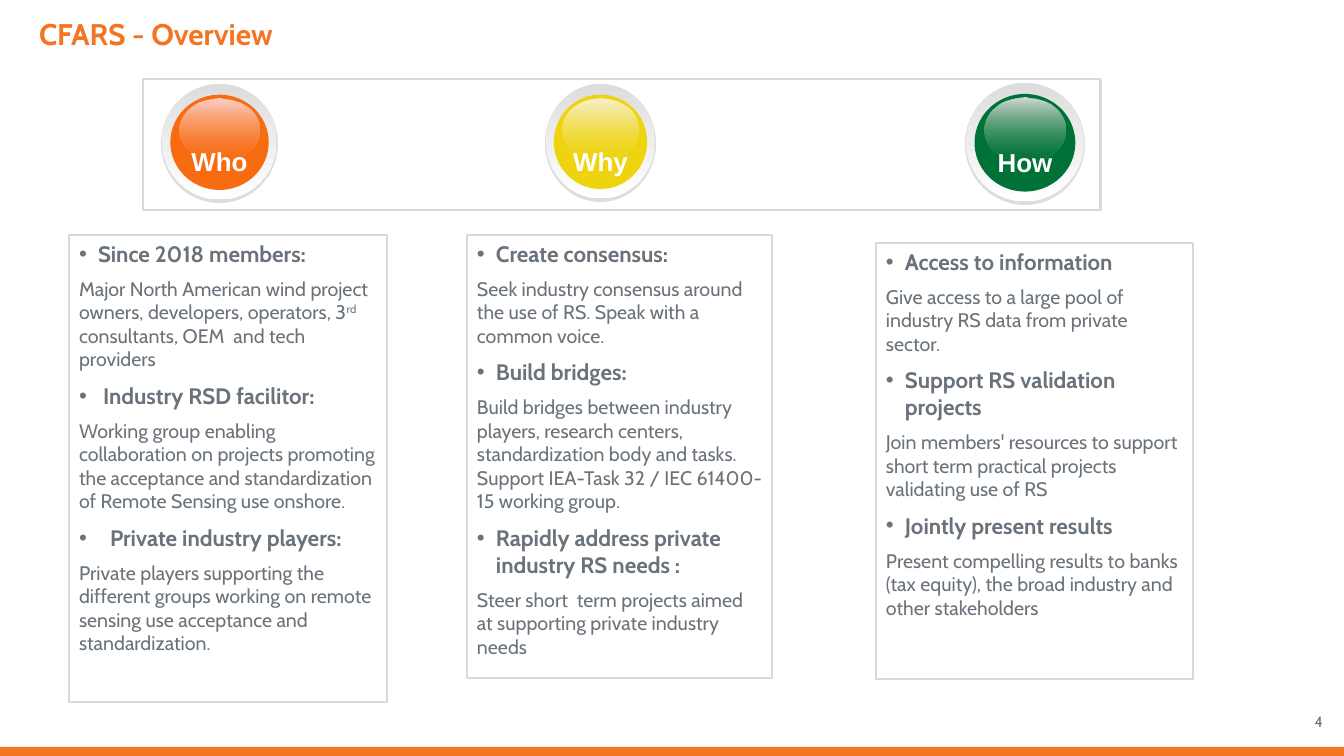
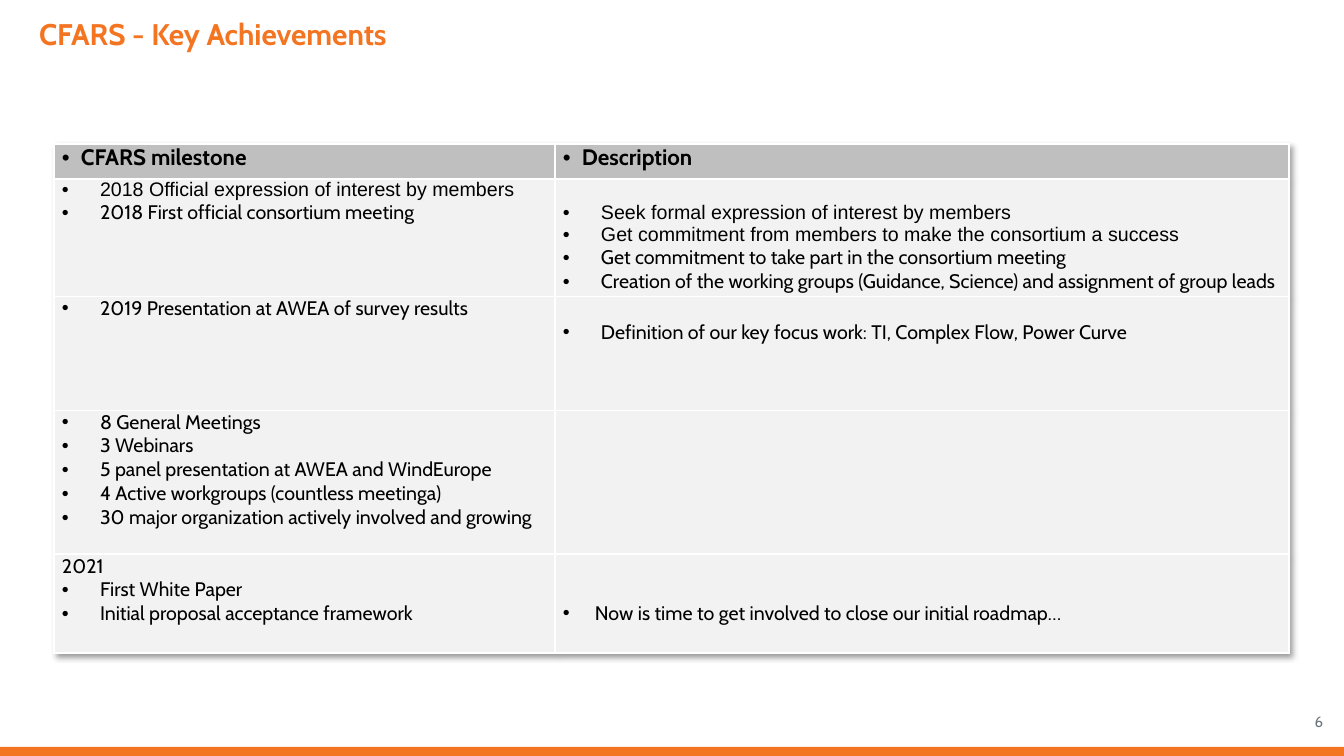
from dataclasses import dataclass

from lxml import etree
from pptx import Presentation
from pptx.dml.color import RGBColor
from pptx.enum.shapes import MSO_SHAPE
from pptx.enum.text import MSO_ANCHOR, MSO_AUTO_SIZE, PP_ALIGN
from pptx.oxml.ns import qn
from pptx.util import Emu, Pt

RECT, OVAL = MSO_SHAPE.RECTANGLE, MSO_SHAPE.OVAL
TOP, MIDDLE = MSO_ANCHOR.TOP, MSO_ANCHOR.MIDDLE
LEFT, RIGHT, CENTER = PP_ALIGN.LEFT, PP_ALIGN.RIGHT, PP_ALIGN.CENTER
FIXED = MSO_AUTO_SIZE.NONE
SCALE = 914400 / 100.8
WIDE, HIGH = 1344, 756


@dataclass(frozen=True)
class Theme:
    font: str = "Cabin"
    plain: str = "Arial"
    brand: str = "F37421"
    grey: str = "6A737B"
    black: str = "000000"
    white: str = "FFFFFF"
    edge: str = "D9D9D9"
    rim: str = "DDDDDD"
    header: str = "BFBFBF"
    body: str = "F2F2F2"
    title_size: float = 21.3
    label_size: float = 18.5
    head_size: float = 16
    text_size: float = 14
    page_size: float = 10.7


THEME = Theme()


# Helpers
def px(count):
    return Emu(round(count * SCALE))


def rgb(code):
    return RGBColor.from_string(code)


def sub(parent, tag, **attrs):
    return etree.SubElement(parent, qn("a:" + tag), {k: str(v) for k, v in attrs.items()})


def write(para, text, size=THEME.text_size, color=THEME.grey, font=THEME.font,
          bold=False, align=LEFT, indent=0, space=0):
    """Fill a paragraph; text between carets is raised, an indent adds a bullet."""
    if indent:
        props = para._p.get_or_add_pPr()
        props.set("marL", str(px(indent)))
        props.set("indent", str(-px(indent)))
        sub(props, "buFont", typeface=THEME.plain)
        sub(props, "buChar", char="•")
    para.alignment = align
    if space:
        para.space_before = Pt(size * space)
    for order, part in enumerate(text.split("^")):
        run = para.add_run()
        run.text = part
        run.font.size, run.font.bold, run.font.name = Pt(size), bold, font
        run.font.color.rgb = rgb(color)
        if order % 2:
            run.font._element.set("baseline", "30000")


def next_para(frame, first):
    return frame.paragraphs[0] if first else frame.add_paragraph()


class Deck:
    def __init__(self):
        self.prs = Presentation()
        self.prs.slide_width, self.prs.slide_height = px(WIDE), px(HIGH)
        self.slide = None

    # Slide frame: bar, title and page number
    def start(self, title, page):
        self.slide = self.prs.slides.add_slide(self.prs.slide_layouts[5])
        self.shape(RECT, 0, 747, WIDE, 9, fill=THEME.brand)
        head = self.slide.shapes.title
        head.left, head.top, head.width, head.height = map(px, (0, 11, 1202, 40))
        frame = head.text_frame
        self.inset(frame, 39, 5)
        frame.auto_size, frame.vertical_anchor = FIXED, TOP
        write(frame.paragraphs[0], title, size=THEME.title_size,
              color=THEME.brand, bold=True)
        self.label(str(page), 1277, 708, 56, 40, size=THEME.page_size, align=RIGHT)

    def inset(self, frame, left, top):
        frame.margin_left, frame.margin_right = px(left), px(10)
        frame.margin_top = frame.margin_bottom = px(top)
        frame.word_wrap = True

    def shape(self, kind, x, y, w, h, fill=None, line=None, home=None):
        shapes = home or self.slide.shapes
        item = shapes.add_shape(kind, px(x), px(y), px(w), px(h))
        item.shadow.inherit = False
        if fill:
            item.fill.solid()
            item.fill.fore_color.rgb = rgb(fill)
        else:
            item.fill.background()
        if line:
            item.line.color.rgb, item.line.width = rgb(line), Pt(2)
        else:
            item.line.fill.background()
        return item

    def label(self, text, x, y, w, h, anchor=TOP, home=None, **style):
        shapes = home or self.slide.shapes
        frame = shapes.add_textbox(px(x), px(y), px(w), px(h)).text_frame
        self.inset(frame, 10, 5)
        frame.vertical_anchor = anchor
        write(frame.paragraphs[0], text, **style)

    def fade(self, item, start, end, alpha=100):
        item.fill.gradient()
        item.fill.gradient_angle = 270
        for stop, color in zip(item.fill.gradient_stops, (start, end)):
            stop.color.rgb = rgb(color)
        if alpha < 100:
            last = list(item.fill._xPr.iter(qn("a:srgbClr")))[-1]
            sub(last, "alpha", val=alpha * 1000)

    # Glossy round button
    def button(self, text, x, y, w, h, color, shine):
        home = self.slide.shapes.add_group_shape().shapes

        def oval(dx, dy, kw, kh, fill):
            return self.shape(OVAL, x + dx * w, y + dy * h, kw * w, kh * h, fill, home=home)

        oval(0, 0, 1, 1, THEME.rim)
        self.fade(oval(0.01, 0, 0.98, 0.97, THEME.rim), THEME.rim, THEME.white)
        oval(0.08, 0.09, 0.84, 0.8, color)
        self.fade(oval(0.16, 0.12, 0.68, 0.52, color), shine, color, 37)
        self.label(text, x, y + 0.5 * h, w, 0.3 * h, MIDDLE, home, size=THEME.label_size,
                   color=THEME.white, font=THEME.plain, bold=True, align=CENTER)

    # Outlined panel of bold heads, each with a text below
    def panel(self, x, y, w, h, points):
        frame = self.shape(RECT, x, y, w, h, line=THEME.edge).text_frame
        self.inset(frame, 10, 5)
        frame.vertical_anchor = TOP
        for order, (head, text, *indent) in enumerate(points):
            write(next_para(frame, not order), head, size=THEME.head_size, bold=True,
                  indent=indent[0] if indent else 19, space=0.5 if order else 0)
            write(frame.add_paragraph(), text, space=0.5)

    # Table with white rules and a soft shadow
    def table(self, x, y, cols, rows):
        heights = [row[0] for row in rows]
        grid = self.slide.shapes.add_table(len(rows), len(cols), px(x), px(y),
                                           px(sum(cols)), px(sum(heights))).table
        grid.first_row = grid.horz_banding = False
        props = grid._tbl.tblPr
        effects = sub(props, "effectLst")
        props.insert(0, effects)
        shadow = sub(effects, "outerShdw", blurRad=50800, dist=38100,
                     dir=2700000, algn="tl", rotWithShape=0)
        sub(sub(shadow, "srgbClr", val=THEME.black), "alpha", val=40000)
        for col, width in zip(grid.columns, cols):
            col.width = px(width)
        for r, (height, *cells) in enumerate(rows):
            grid.rows[r].height = px(height)
            for c, (top, lines) in enumerate(cells):
                self.cell(grid.cell(r, c), top, lines, THEME.body if r else THEME.header)

    def cell(self, cell, top, lines, fill):
        props = cell._tc.get_or_add_tcPr()
        for side in "LRTB":
            rule = sub(props, "ln" + side, w=12700)
            sub(sub(rule, "solidFill"), "srgbClr", val=THEME.white)
        cell.fill.solid()
        cell.fill.fore_color.rgb = rgb(fill)
        cell.margin_left = cell.margin_right = px(8)
        cell.margin_top, cell.margin_bottom = px(top), 0
        for order, (text, style) in enumerate(lines):
            write(next_para(cell.text_frame, not order), text,
                  **{"color": THEME.black, "indent": 38, **style})


# Content
BUTTONS = [
    ("Who", 161, 84, 117, 119, "F76C11", "FCD1C9"),
    ("Why", 545, 84, 111, 118, "EED40E", "F9F1D3"),
    ("How", 965, 83, 120, 122, "007237", "D2DAD4"),
]
PANELS = [
    (69, 235, 318, 467, [
        ("Since 2018 members:",
         "Major North American wind project owners, developers, operators, "
         "3^rd^ consultants, OEM  and tech providers"),
        ("Industry RSD facilitor:",
         "Working group enabling collaboration on projects promoting the acceptance "
         "and standardization of Remote Sensing use onshore.", 24),
        ("Private industry players:",
         "Private players supporting the different groups working on remote sensing "
         "use acceptance and standardization.", 31),
    ]),
    (467, 235, 305, 443, [
        ("Create consensus:",
         "Seek industry consensus around the use of RS. Speak with a common voice."),
        ("Build bridges:",
         "Build bridges between industry players, research centers, standardization "
         "body and tasks. Support IEA-Task 32 / IEC 61400-15 working group."),
        ("Rapidly address private industry RS needs :",
         "Steer short  term projects aimed at supporting private industry needs"),
    ]),
    (876, 243, 317, 436, [
        ("Access to information",
         "Give access to a large pool of industry RS data from private sector."),
        ("Support RS validation projects",
         "Join members' resources to support short term practical projects "
         "validating use of RS"),
        ("Jointly present results",
         "Present compelling results to banks (tax equity), the broad industry "
         "and other stakeholders"),
    ]),
]
HEAD = {"size": THEME.head_size, "bold": True, "indent": 19}
PLAIN = {"font": THEME.plain}
# Each row: height, then cells of top margin and lines
ROWS = [
    (35, (0, [("CFARS milestone", HEAD)]), (0, [("Description", HEAD)])),
    (116,
     (0, [("2018 Official expression of interest by members", PLAIN),
          ("2018 First official consortium meeting", {})]),
     (23, [("Seek formal expression of interest by members", PLAIN),
           ("Get commitment from members to make the consortium a success", PLAIN),
           ("Get commitment to take part in the consortium meeting", {}),
           ("Creation of the working groups (Guidance, Science) and assignment "
            "of group leads", {})])),
    (114,
     (0, [("2019 Presentation at AWEA of survey results", {})]),
     (24, [("Definition of our key focus work: TI, Complex Flow, Power Curve", {})])),
    (144,
     (0, [("8 General Meetings", {}),
          ("3 Webinars", {}),
          ("5 panel presentation at AWEA and WindEurope", {}),
          ("4 Active workgroups (countless meetinga)", {}),
          ("30 major organization actively involved and growing", {})]),
     (0, [])),
    (99,
     (0, [("2021", {"indent": 0}),
          ("First White Paper", {}),
          ("Initial proposal acceptance framework", {})]),
     (47, [("Now is time to get involved to close our initial roadmap…", {"indent": 32})])),
]


def main():
    deck = Deck()

    # Overview
    deck.start("CFARS - Overview", 4)
    for panel in PANELS:
        deck.panel(*panel)
    for button in BUTTONS:
        deck.button(*button)
    deck.shape(RECT, 143, 79, 958, 131, line=THEME.edge)

    # Key achievements
    deck.start("CFARS - Key Achievements", 6)
    deck.table(54, 144, (501, 734), ROWS)

    deck.prs.save("out.pptx")


if __name__ == "__main__":
    main()
